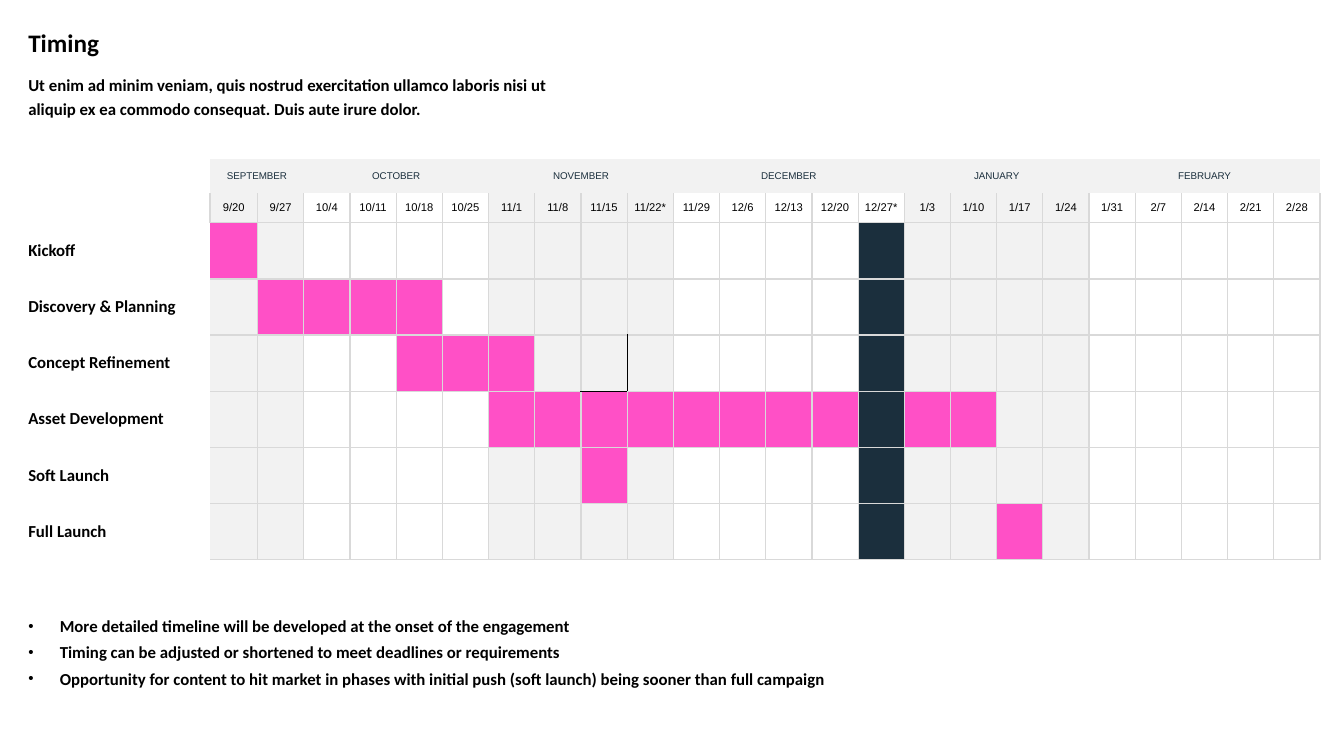
from lxml.etree import SubElement
from pptx import Presentation
from pptx.dml.color import RGBColor
from pptx.enum.text import MSO_ANCHOR, MSO_AUTO_SIZE, PP_ALIGN
from pptx.oxml.ns import qn
from pptx.util import Pt

BLACK = RGBColor(0x00, 0x00, 0x00)
NAVY = RGBColor(0x1B, 0x2F, 0x3D)
PINK = RGBColor(0xFF, 0x50, 0xC6)
PALE = RGBColor(0xF2, 0xF2, 0xF2)
GREY = RGBColor(0xD9, 0xD9, 0xD9)

PLAIN = "{2D5ABB26-0587-4C30-8999-92F81FD0307C}"  # table style without grid
LEFT = 13

# Month name, number of weeks; every other month is shaded
MONTHS = [("SEPTEMBER", 2), ("OCTOBER", 4), ("NOVEMBER", 4),
          ("DECEMBER", 5), ("JANUARY", 4), ("FEBRUARY", 5)]
WEEKS = ("9/20 9/27 10/4 10/11 10/18 10/25 11/1 11/8 11/15 11/22* 11/29 12/6 "
         "12/13 12/20 12/27* 1/3 1/10 1/17 1/24 1/31 2/7 2/14 2/21 2/28").split()
PAUSE = "12/27*"
# Task, first week, last week
TASKS = [("Kickoff", "9/20", "9/20"),
         ("Discovery & Planning", "9/27", "10/18"),
         ("Concept Refinement", "10/18", "11/1"),
         ("Asset Development", "11/1", "1/10"),
         ("Soft Launch", "11/15", "11/15"),
         ("Full Launch", "1/17", "1/17")]
NOTES = ["More detailed timeline will be developed at the onset of the engagement",
         "Timing can be adjusted or shortened to meet deadlines or requirements",
         "Opportunity for content to hit market in phases with initial push "
         "(soft launch) being sooner than full campaign"]


class Deck:
    """Holds the style and the current slide."""

    def __init__(self, wide, high):
        self.file = Presentation()
        self.file.slide_width, self.file.slide_height = Pt(wide), Pt(high)
        self.slide = self.file.slides.add_slide(self.file.slide_layouts[3])

    def run(self, para, text, size=12, face="Calibri", bold=True, color=BLACK):
        font_run = para.add_run()
        font_run.text = text
        font = font_run.font
        font.size, font.name, font.bold = Pt(size), face, bold
        font.color.rgb = color

    def text(self, slot, box, lines, size=12, space=1.0, dots=False,
             anchor=MSO_ANCHOR.TOP):
        """Fill a placeholder with one paragraph per line."""
        shape = self.slide.placeholders[slot]
        shape.left, shape.top, shape.width, shape.height = map(Pt, box)
        frame = shape.text_frame
        frame.word_wrap = True
        frame.auto_size = MSO_AUTO_SIZE.NONE
        frame.vertical_anchor = anchor
        for i, line in enumerate(lines):
            para = frame.add_paragraph() if i else frame.paragraphs[0]
            para.alignment = PP_ALIGN.LEFT
            para.line_spacing = space
            para.space_before = Pt(0)
            self.dot(para, dots)
            self.run(para, line, size)

    def dot(self, para, on):
        props = para._p.get_or_add_pPr()
        dent = Pt(22.5) if on else 0
        props.set("marL", str(dent))
        props.set("indent", str(-dent))
        if not on:
            SubElement(props, qn("a:buNone"))
            return
        tint = SubElement(props, qn("a:buClr"))
        SubElement(tint, qn("a:srgbClr"), val=str(BLACK))
        SubElement(props, qn("a:buSzPct"), val="90000")
        SubElement(props, qn("a:buFont"), typeface="Arial")
        SubElement(props, qn("a:buChar"), char="•")

    def table(self, left, top, cols, rows):
        frame = self.slide.shapes.add_table(
            len(rows), len(cols), Pt(left), Pt(top), Pt(sum(cols)), Pt(sum(rows)))
        grid = frame.table
        grid.first_row = grid.horz_banding = False
        grid._tbl.tblPr.find(qn("a:tableStyleId")).text = PLAIN
        for col, wide in zip(grid.columns, cols):
            col.width = Pt(wide)
        for row, high in zip(grid.rows, rows):
            row.height = Pt(high)
        return grid

    def cell(self, cell, text="", fill=None, edges=(), dark="", inset=None,
             align=PP_ALIGN.CENTER, **style):
        """Format a cell; edges and dark name its grey and black sides."""
        cell.vertical_anchor = MSO_ANCHOR.MIDDLE
        if inset is not None:
            cell.margin_left = cell.margin_right = Pt(inset)
            cell.margin_top = cell.margin_bottom = Pt(inset)
        props = cell._tc.get_or_add_tcPr()
        for side in "LRTB":
            if side in edges:
                color, width = (BLACK, 0.5) if side in dark else (GREY, 1)
                line = SubElement(props, qn("a:ln" + side), w=str(Pt(width)))
                solid = SubElement(line, qn("a:solidFill"))
                SubElement(solid, qn("a:srgbClr"), val=str(color))
        if fill is None:
            cell.fill.background()
        else:
            cell.fill.solid()
            cell.fill.fore_color.rgb = fill
        para = cell.text_frame.paragraphs[0]
        para.alignment = align
        if text:
            self.run(para, text, **style)
        else:  # small empty line, so that the row keeps its height
            para._p.get_or_add_endParaRPr().set("sz", "800")

    def save(self):
        self.file.save("out.pptx")


def plan(deck):
    grid = deck.table(LEFT, 113.8, [137, 34] + [33] * 23,
                      [24.2, 21.2] + [40.1] * len(TASKS))

    # Month header
    shades = []
    for i, (month, count) in enumerate(MONTHS):
        first = len(shades) + 1
        shades += [None if i % 2 else PALE] * count
        head = grid.cell(0, first)
        head.merge(grid.cell(0, first + count - 1))
        deck.cell(head, month, PALE, size=7, face="Arial", bold=False, color=NAVY)

    # Week header
    for row in (0, 1):
        deck.cell(grid.cell(row, 0), inset=0, edges="R" if row else "")
    for col, (week, shade) in enumerate(zip(WEEKS, shades), 1):
        deck.cell(grid.cell(1, col), week, shade, "LRB", inset=0,
                  size=8, face="Arial", bold=False)

    # Task rows; a few sides next to week 11/15 are black
    mark = WEEKS.index("11/15") + 1
    black = {(4, mark): "RB", (4, mark + 1): "L", (5, mark): "T"}
    for row, (task, start, end) in enumerate(TASKS, 2):
        deck.cell(grid.cell(row, 0), task, align=PP_ALIGN.LEFT)
        span = range(WEEKS.index(start), WEEKS.index(end) + 1)
        for i, (week, shade) in enumerate(zip(WEEKS, shades)):
            fill = NAVY if week == PAUSE else PINK if i in span else shade
            deck.cell(grid.cell(row, i + 1), fill=fill,
                      edges="LRTB" if i else "RTB",
                      dark=black.get((row, i + 1), ""))


def main():
    deck = Deck(960, 540)
    # Title and lead
    deck.text(0, (LEFT, 16, 570, 29), ["Timing"], 18, anchor=MSO_ANCHOR.MIDDLE)
    deck.text(1, (LEFT, 46.8, 401, 58.3),
              ["Ut enim ad minim veniam, quis nostrud exercitation ullamco laboris "
               "nisi ut aliquip ex ea commodo consequat. Duis aute irure dolor."],
              space=1.2)
    # Schedule
    plan(deck)
    # Notes
    deck.text(2, (LEFT, 432, 872, 97), NOTES, space=1.3, dots=True)
    deck.save()


if __name__ == "__main__":
    main()
